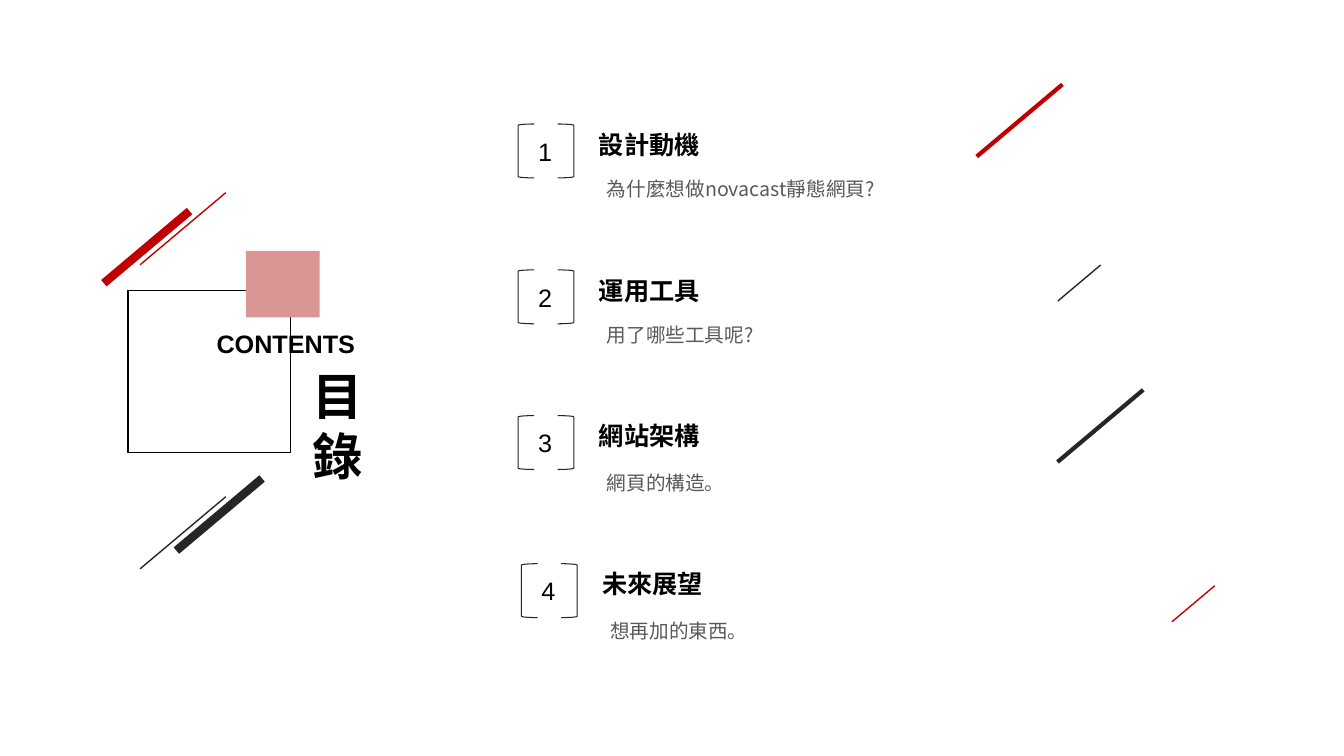
from dataclasses import dataclass

from lxml.etree import SubElement
from pptx import Presentation
from pptx.dml.color import RGBColor
from pptx.enum.shapes import MSO_CONNECTOR, MSO_SHAPE
from pptx.enum.text import MSO_AUTO_SIZE
from pptx.oxml.ns import qn
from pptx.util import Pt


@dataclass(frozen=True)
class Theme:
    red: str = "C00000"
    dark: str = "262626"
    black: str = "000000"
    grey: str = "595959"
    pink: str = "D99694"
    latin: str = "Arial"
    cjk: str = "Noto Sans CJK SC"
    title: int = 36
    heading: int = 18
    caption: int = 14


THEME = Theme()
SLASH_WIDTH, SLASH_HEIGHT = 61.2, 51.5

# left, top, caption offset, heading, caption
ENTRIES = [
    (370.1, 88.6, 34.5, "設計動機", "為什麼想做novacast靜態網頁?"),
    (370.1, 192.8, 34, "運用工具", "用了哪些工具呢?"),
    (370.1, 296.9, 35.7, "網站架構", "網頁的構造。"),
    (372.5, 402.7, 35.8, "未來展望", "想再加的東西。"),
]

# right, top, scale, weight, colour
SLASHES = [
    (135.4, 150.8, 1, 6, THEME.red),
    (161.3, 137.6, 1, 1, THEME.red),
    (187.2, 341.8, 1, 6, THEME.dark),
    (161.3, 354.8, 1, 1, THEME.dark),
    (758.9, 60.3, 1, 3, THEME.red),
    (786.2, 189.3, 0.5, 1, THEME.dark),
    (867.7, 418.4, 0.5, 1, THEME.red),
    (816.6, 278.5, 1, 3, THEME.dark),
]


def add_text(slide, left, top, width, height, text, size, font=THEME.latin,
             color=THEME.black, bold=False, wrap=True):
    frame = slide.shapes.add_textbox(
        Pt(left), Pt(top), Pt(width), Pt(height)).text_frame
    frame.word_wrap = wrap
    frame.auto_size = MSO_AUTO_SIZE.SHAPE_TO_FIT_TEXT
    run = frame.paragraphs[0].add_run()
    run.text = text
    run.font.size = Pt(size)
    run.font.name = font
    run.font.bold = bold
    run.font.color.rgb = RGBColor.from_string(color)
    # East Asian typeface
    SubElement(run.font._element, qn("a:ea")).set("typeface", THEME.cjk)


def add_slash(slide, right, top, scale, weight, color):
    slash = slide.shapes.add_connector(
        MSO_CONNECTOR.STRAIGHT, Pt(right), Pt(top),
        Pt(right - SLASH_WIDTH * scale), Pt(top + SLASH_HEIGHT * scale))
    slash.line.width = Pt(weight)
    slash.line.color.rgb = RGBColor.from_string(color)
    SubElement(slash._element.spPr, qn("a:effectLst"))


def add_outline(slide, preset, left, top, width, height, color, weight):
    outline = slide.shapes.add_shape(
        preset, Pt(left), Pt(top), Pt(width), Pt(height))
    outline.shadow.inherit = False
    outline.fill.background()
    outline.line.color.rgb = RGBColor.from_string(color)
    outline.line.width = Pt(weight)
    return outline


def add_block(slide, left, top, width, height, color):
    block = slide.shapes.add_shape(
        MSO_SHAPE.RECTANGLE, Pt(left), Pt(top), Pt(width), Pt(height))
    block.shadow.inherit = False
    block.fill.solid()
    block.fill.fore_color.rgb = RGBColor.from_string(color)
    block.line.fill.background()


def add_entry(slide, number, left, top, caption_offset, heading, caption):
    add_text(slide, left + 7.2, top + 5, 24.5, 29, str(number),
             THEME.heading, wrap=False)
    # Pair of brackets, the second mirrored
    for offset, mirrored in ((0, False), (28.3, True)):
        bracket = add_outline(slide, MSO_SHAPE.LEFT_BRACKET, left + offset,
                              top, 11.5, 38.5, THEME.dark, 0.75)
        if mirrored:
            bracket._element.spPr.xfrm.set("flipH", "1")
    add_text(slide, left + 50.6, top, 87.1, 29, heading, THEME.heading,
             bold=True, wrap=False)
    add_text(slide, left + 56.3, top + caption_offset, 329, 24.5, caption,
             THEME.caption, THEME.cjk, THEME.grey)


def main():
    prs = Presentation()
    prs.slide_width, prs.slide_height = Pt(960), Pt(540)
    slide = prs.slides.add_slide(prs.slide_layouts[6])

    # Decorative slashes
    for slash in SLASHES:
        add_slash(slide, *slash)

    # Agenda entries
    for number, entry in enumerate(ENTRIES, start=1):
        add_entry(slide, number, *entry)

    # Title emblem
    add_outline(slide, MSO_SHAPE.RECTANGLE, 91.5, 207.4, 116, 116,
                THEME.black, 1)
    add_block(slide, 175.7, 179.3, 52.6, 47.5, THEME.pink)
    add_text(slide, 147.6, 231.1, 120.2, 29, "CONTENTS", THEME.heading,
             bold=True)
    add_text(slide, 216, 257, 84.2, 94.3, "目錄", THEME.title, THEME.cjk,
             bold=True)

    prs.save("out.pptx")


if __name__ == "__main__":
    main()
